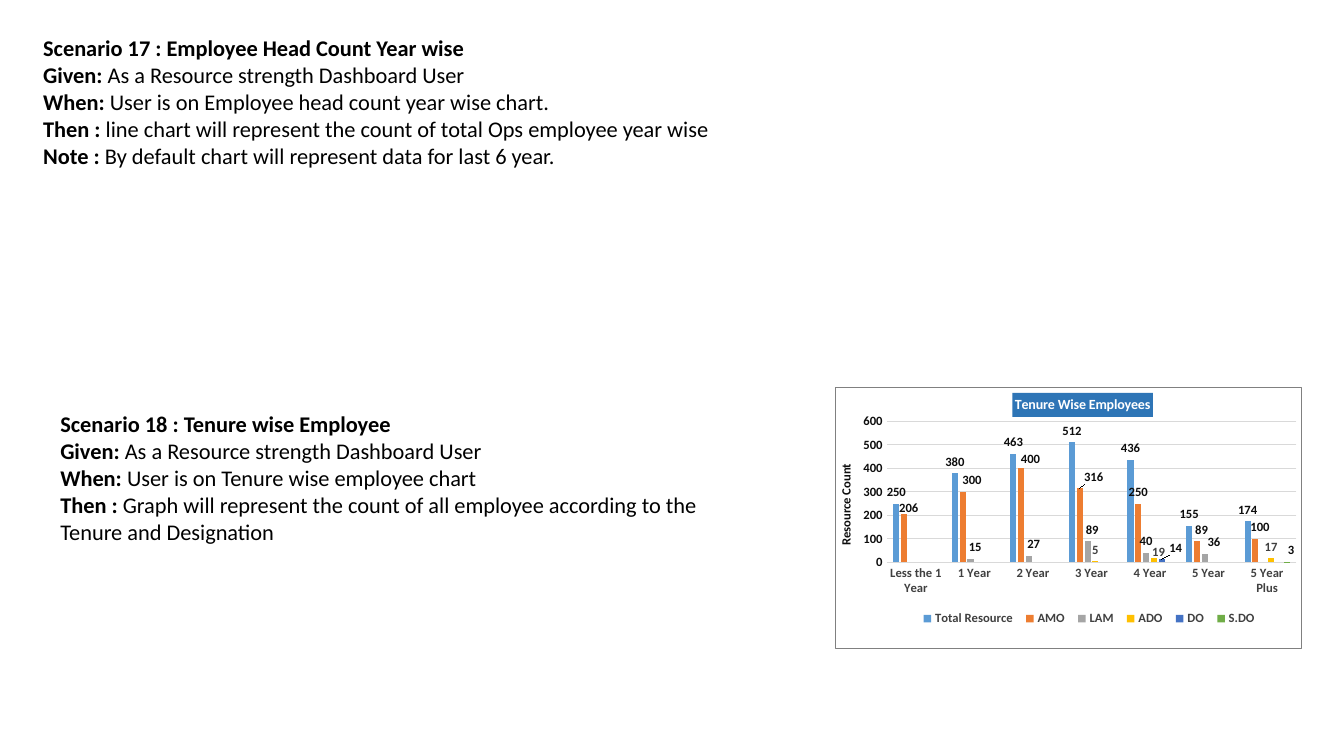
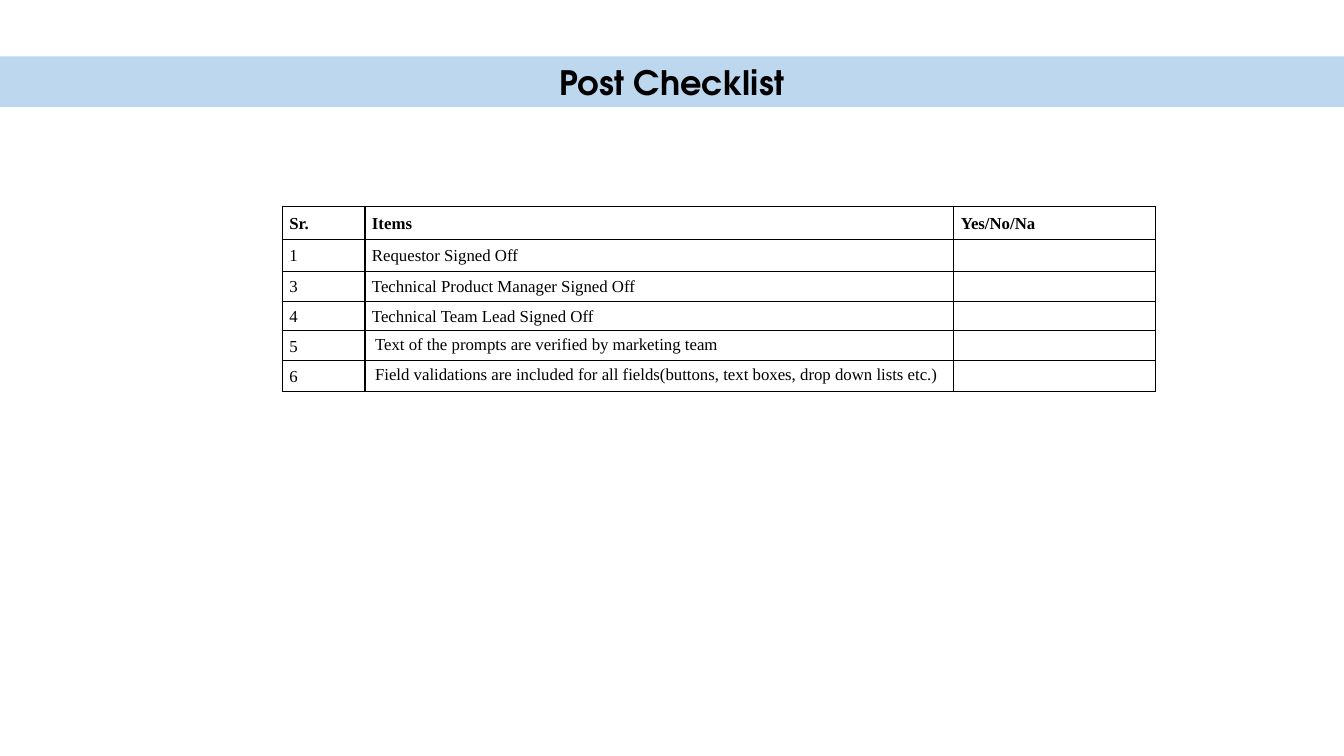
from lxml.etree import SubElement
from pptx import Presentation
from pptx.chart.data import CategoryChartData
from pptx.dml.color import RGBColor
from pptx.enum.chart import XL_CHART_TYPE, XL_LABEL_POSITION, XL_LEGEND_POSITION, XL_TICK_MARK
from pptx.enum.shapes import MSO_SHAPE
from pptx.enum.text import MSO_ANCHOR, PP_ALIGN
from pptx.oxml import parse_xml
from pptx.oxml.ns import nsdecls, qn
from pptx.util import Inches, Pt

# Shared style
BLACK = RGBColor(0x00, 0x00, 0x00)
WHITE = RGBColor(0xFF, 0xFF, 0xFF)
INK = RGBColor(0x0D, 0x0D, 0x0D)
DARK_GRAY = RGBColor(0x40, 0x40, 0x40)
GRAY = RGBColor(0x80, 0x80, 0x80)
LIGHT_GRAY = RGBColor(0xD9, 0xD9, 0xD9)
TITLE_BLUE = RGBColor(0x2E, 0x75, 0xB6)
BAND_BLUE = RGBColor(0xBD, 0xD7, 0xEE)
BODY_FONT = "Calibri"
TITLE_FONT = "TeX Gyre Adventor"
TABLE_FONT = "Times New Roman"

# Slide content
GIVEN = ("Given: ", "As a Resource strength Dashboard User")
HEAD_COUNT = [
    ("Scenario 17 : Employee Head Count Year wise", ""),
    GIVEN,
    ("When: ", "User is on Employee head count year wise chart."),
    ("Then : ", "line chart will represent the count of total Ops employee year wise"),
    ("Note : ", "By default chart will represent data for last 6 year."),
]
TENURE = [
    ("Scenario 18 : Tenure wise Employee", ""),
    GIVEN,
    ("When: ", "User is on Tenure wise employee chart"),
    ("Then : ", "Graph will represent the count of all employee according to the Tenure and Designation"),
]
YEARS = ["Less the 1 Year", "1 Year", "2 Year", "3 Year", "4 Year", "5 Year", "5 Year Plus"]
# Name, bar colour, label colour, values, label shifts as shares of the chart size
SERIES = [
    ("Total Resource", RGBColor(0x5B, 0x9B, 0xD5), INK, [250, 380, 463, 512, 436, 155, 174], {}),
    ("AMO", RGBColor(0xED, 0x7D, 0x31), INK, [206, 300, 400, 316, 250, 89, 100],
     {0: (0.01, 0.02), 1: (0.02, 0), 2: (0.02, 0.01), 3: (0.03, 0), 5: (0.01, 0), 6: (0.01, 0)}),
    ("LAM", RGBColor(0xA5, 0xA5, 0xA5), INK, [None, 15, 27, 89, 40, 36, None],
     {1: (0.01, 0), 2: (0.01, 0), 3: (0.01, 0), 5: (0.02, 0)}),
    ("ADO", RGBColor(0xFF, 0xC0, 0x00), DARK_GRAY, [None, None, None, 5, 19, None, 17],
     {4: (0.01, 0.02)}),
    ("DO", RGBColor(0x44, 0x72, 0xC4), INK, [None, None, None, None, 14, None, None],
     {4: (0.03, 0)}),
    ("S.DO", RGBColor(0x70, 0xAD, 0x47), INK, [None, None, None, None, None, None, 3],
     {6: (0.01, 0)}),
]
# Number, item, whether the item cell has the roomier margins
CHECKLIST = [
    ("Sr.", "Items", False),
    ("1", "Requestor Signed Off", False),
    ("3", "Technical Product Manager Signed Off", False),
    ("4", "Technical Team Lead Signed Off", False),
    ("5", "Text of the prompts are verified by marketing team", True),
    ("6", "Field validations are included for all fields(buttons, text boxes, drop down lists etc.)", True),
]


def style_font(font, size, color, bold=True, name=BODY_FONT):
    font.name, font.size, font.bold = name, Pt(size), bold
    font.color.rgb = color


def chart_layout(x, y, width=None, height=None, inner=False):
    """Build a manual layout in shares of the chart size."""
    values = []
    if inner:
        values.append(("layoutTarget", "inner"))
    if width:
        values += [("xMode", "edge"), ("yMode", "edge")]
    values += [("x", x), ("y", y)]
    if width:
        values += [("w", width), ("h", height)]
    body = "".join(f'<c:{tag} val="{value}"/>' for tag, value in values)
    return parse_xml(f'<c:layout {nsdecls("c")}><c:manualLayout>{body}</c:manualLayout></c:layout>')


class DeckBuilder:
    def __init__(self):
        self.deck = Presentation()
        self.deck.slide_width, self.deck.slide_height = Inches(13.33), Inches(7.5)
        self.page = None

    def add_page(self):
        self.page = self.deck.slides.add_slide(self.deck.slide_layouts[6])

    def add_run(self, para, text, size, bold, name=BODY_FONT):
        span = para.add_run()
        span.text = text
        style_font(span.font, size, BLACK, bold, name)

    def add_scenario(self, left, top, width, lines):
        box = self.page.shapes.add_textbox(Inches(left), Inches(top), Inches(width), Inches(1.45))
        frame = box.text_frame
        frame.word_wrap = True
        for index, (label, text) in enumerate(lines):
            para = frame.add_paragraph() if index else frame.paragraphs[0]
            self.add_run(para, label, 16, True)
            if text:
                self.add_run(para, text, 16, False)

    def add_band(self, text):
        band = self.page.shapes.add_shape(
            MSO_SHAPE.RECTANGLE, 0, Inches(0.56), self.deck.slide_width, Inches(0.5))
        band.shadow.inherit = False
        band.fill.solid()
        band.fill.fore_color.rgb = BAND_BLUE
        band.line.fill.background()
        band.text_frame.vertical_anchor = MSO_ANCHOR.MIDDLE
        para = band.text_frame.paragraphs[0]
        para.alignment = PP_ALIGN.CENTER
        self.add_run(para, text, 24, True, TITLE_FONT)

    def add_column_chart(self, left, top, width, height):
        data = CategoryChartData()
        data.categories = YEARS
        for name, _, _, values, _ in SERIES:
            data.add_series(name, values)
        chart = self.page.shapes.add_chart(
            XL_CHART_TYPE.COLUMN_CLUSTERED, Inches(left), Inches(top),
            Inches(width), Inches(height), data).chart
        style_font(chart.font, 10, BLACK, False)
        self.style_chart_frame(chart)
        self.style_axes(chart)
        plot = chart.plots[0]
        plot.gap_width, plot.overlap, plot.vary_by_categories = 219, -27, False
        for series, (_, color, label_color, _, shifts) in zip(plot.series, SERIES):
            self.style_series(series, color, label_color, shifts)

    def style_chart_frame(self, chart):
        # Title
        title = chart.chart_title
        para = title.text_frame.paragraphs[0]
        span = para.add_run()
        span.text = "Tenure Wise Employees"
        style_font(span.font, 10, WHITE)
        title.format.fill.solid()
        title.format.fill.fore_color.rgb = TITLE_BLUE
        title.include_in_layout = False
        root = chart._chartSpace
        title_xml = root.find(f".//{qn('c:title')}")
        self.set_layout(title_xml, title_xml.find(qn("c:tx")), chart_layout(0.38, 0.02, 0.3, 0.1))
        # Legend
        chart.has_legend = True
        chart.legend.position = XL_LEGEND_POSITION.BOTTOM
        chart.legend.include_in_layout = False
        style_font(chart.legend.font, 9, DARK_GRAY)
        legend_xml = root.find(f".//{qn('c:legend')}")
        self.set_layout(legend_xml, legend_xml.find(qn("c:legendPos")),
                        chart_layout(0.17, 0.85, 0.75, 0.07))
        # Plot area and border
        self.set_layout(root.find(f".//{qn('c:plotArea')}"), None,
                        chart_layout(0.11, 0.13, 0.88, 0.54, inner=True))
        root.find(qn("c:chart")).addnext(parse_xml(
            f'<c:spPr {nsdecls("c", "a")}><a:solidFill><a:srgbClr val="{WHITE}"/></a:solidFill>'
            f'<a:ln w="{Pt(0.75)}"><a:solidFill><a:srgbClr val="{GRAY}"/></a:solidFill></a:ln></c:spPr>'))

    def set_layout(self, parent, previous, layout):
        for old in parent.findall(qn("c:layout")):
            parent.remove(old)
        if previous is None:
            parent.insert(0, layout)
        else:
            previous.addnext(layout)

    def style_axes(self, chart):
        category_axis, value_axis = chart.category_axis, chart.value_axis
        for axis, color in ((category_axis, DARK_GRAY), (value_axis, INK)):
            axis.major_tick_mark = axis.minor_tick_mark = XL_TICK_MARK.NONE
            style_font(axis.tick_labels.font, 9, color)
        value_axis.minimum_scale, value_axis.maximum_scale = 0, 600
        value_axis.major_unit = 100
        value_axis.format.line.fill.background()
        for line in (category_axis.format.line, value_axis.major_gridlines.format.line):
            line.color.rgb, line.width = LIGHT_GRAY, Pt(0.75)
        span = value_axis.axis_title.text_frame.paragraphs[0].add_run()
        span.text = "Resource Count"
        style_font(span.font, 9, INK)

    def style_series(self, series, color, label_color, shifts):
        series.format.fill.solid()
        series.format.fill.fore_color.rgb = color
        labels = series.data_labels
        labels.show_value = True
        labels.position = XL_LABEL_POSITION.OUTSIDE_END
        style_font(labels.font, 9, label_color)
        for index, (x, y) in shifts.items():
            label = series.points[index].data_label
            style_font(label.font, 9, label_color)
            label.position = XL_LABEL_POSITION.OUTSIDE_END
            label_xml = series._element.xpath(f'.//c:dLbl[c:idx/@val="{index}"]')[0]
            self.set_layout(label_xml, label_xml.find(qn("c:idx")), chart_layout(x, y))

    def add_checklist(self, left, top, widths, heights):
        table = self.page.shapes.add_table(
            len(heights), len(widths), Inches(left), Inches(top),
            Inches(sum(widths)), Inches(sum(heights))).table
        table.first_row = table.horz_banding = False
        for column, width in zip(table.columns, widths):
            column.width = Inches(width)
        for index, (row, height) in enumerate(zip(table.rows, heights)):
            row.height = Inches(height)
            number, item, roomy = CHECKLIST[index]
            header = index == 0
            answer = "Yes/No/Na" if header else ""
            for cell, text, wide in zip(row.cells, (number, item, answer), (False, roomy, False)):
                self.fill_cell(cell, text, header, wide)

    def fill_cell(self, cell, text, bold, roomy):
        cell.fill.background()
        cell.margin_left = cell.margin_right = Inches(0.1 if roomy else 0.07)
        cell.margin_top = cell.margin_bottom = Inches(0.05 if roomy else 0)
        cell.vertical_anchor = MSO_ANCHOR.TOP if roomy else MSO_ANCHOR.MIDDLE
        para = cell.text_frame.paragraphs[0]
        if not roomy:
            para.line_spacing = 1.07
        if text:
            self.add_run(para, text, 12, bold, TABLE_FONT)
        else:
            SubElement(para._p, qn("a:endParaRPr"), sz="1200")
        # Borders come before the fill in the cell properties
        for position, side in enumerate(("lnL", "lnR", "lnT", "lnB")):
            cell._tc.get_or_add_tcPr().insert(position, parse_xml(
                f'<a:{side} {nsdecls("a")} w="{Pt(1)}"><a:solidFill>'
                f'<a:srgbClr val="{BLACK}"/></a:solidFill></a:{side}>'))


def main():
    builder = DeckBuilder()

    # Scenarios
    builder.add_page()
    builder.add_scenario(0.33, 0.29, 9.46, HEAD_COUNT)
    builder.add_column_chart(8.28, 3.84, 4.63, 2.6)
    builder.add_scenario(0.5, 4.02, 6.93, TENURE)

    # Checklist
    builder.add_page()
    builder.add_band("Post Checklist")
    builder.add_checklist(2.8, 2.05, [0.82, 5.84, 2], [0.33, 0.31, 0.3, 0.29, 0.29, 0.29])

    builder.deck.save("out.pptx")


if __name__ == "__main__":
    main()
